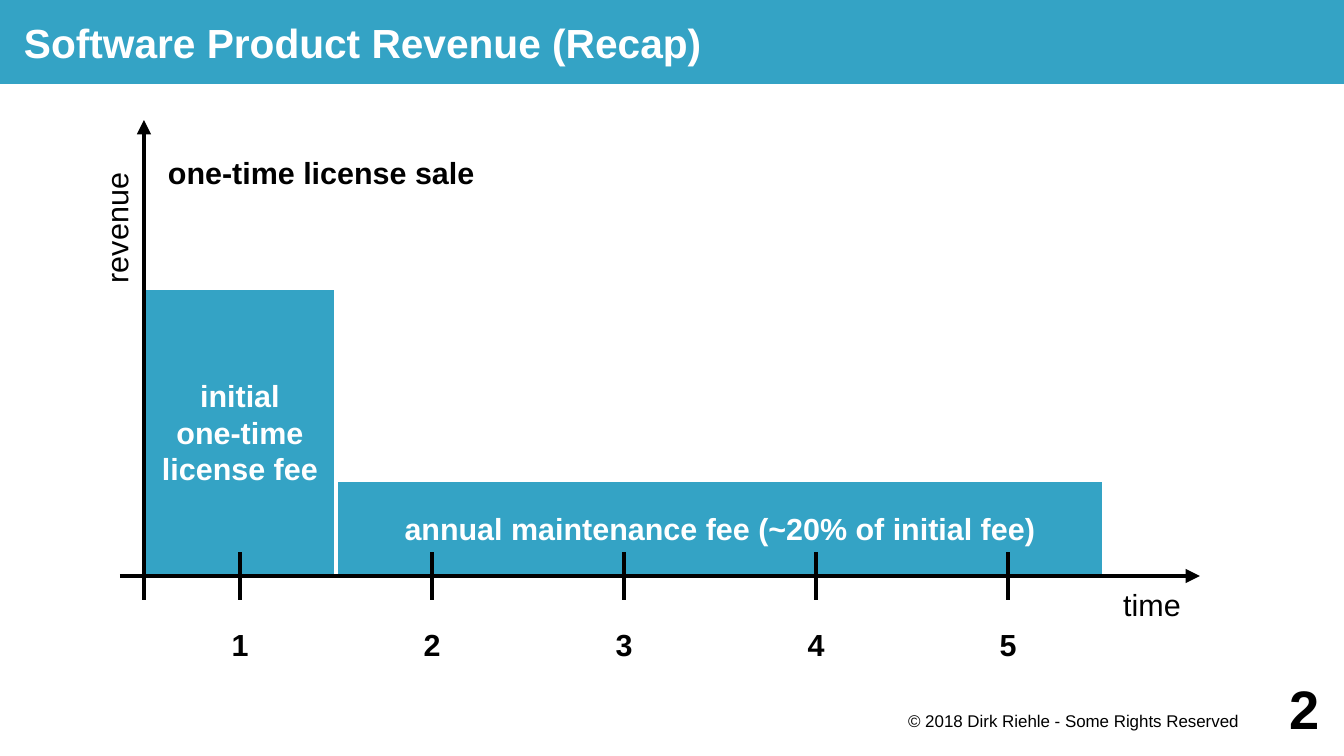
from lxml.etree import SubElement
from pptx import Presentation
from pptx.dml.color import RGBColor
from pptx.enum.shapes import MSO_CONNECTOR, MSO_SHAPE
from pptx.enum.text import MSO_ANCHOR, MSO_AUTO_SIZE, PP_ALIGN
from pptx.oxml.ns import qn
from pptx.util import Pt

# Content
TITLE = "Software Product Revenue (Recap)"
HEADING = "one-time license sale"
X_LABEL, Y_LABEL = "time", "revenue"
YEARS = ["1", "2", "3", "4", "5"]
# text, first year, number of years, height
BARS = [
    ("annual maintenance fee (~20% of initial fee)", 1, 4, 56.7),
    ("initial\none-time\nlicense fee", 0, 1, 170.1),
]
COPYRIGHT = "© 2018 Dirk Riehle - Some Rights Reserved"
PAGE = "2"

# Style
TEAL = RGBColor(0x34, 0xA3, 0xC5)
WHITE = RGBColor(0xFF, 0xFF, 0xFF)
BLACK = RGBColor(0x00, 0x00, 0x00)
FONT = "Arial"
LINE_W = 2.83
INSET = 5.67

# Geometry
WIDTH, HEIGHT = 793.7, 446.46
ORIGIN_X, ORIGIN_Y = 85.04, 340.16
YEAR_W = 113.39
TICK = 14.17
LABEL = 56.69
AXIS_TOP, AXIS_RIGHT = 70.87, 708.66


def set_text(s, text, size=18, bold=False, color=BLACK, align=PP_ALIGN.CENTER,
             anchor=MSO_ANCHOR.TOP, insets=(INSET,) * 4, wrap=True):
    tf = s.text_frame
    tf.text = text
    tf.auto_size = MSO_AUTO_SIZE.NONE
    tf.word_wrap = wrap
    tf.vertical_anchor = anchor
    tf.margin_left, tf.margin_top, tf.margin_right, tf.margin_bottom = map(Pt, insets)
    for p in tf.paragraphs:
        p.alignment = align
        for r in p.runs:
            r.font.name = FONT
            r.font.size = Pt(size)
            r.font.bold = bold
            r.font.color.rgb = color


def add_label(box, text, **style):
    s = slide.shapes.add_textbox(*map(Pt, box))
    set_text(s, text, **style)
    return s


def add_line(x1, y1, x2, y2, arrow=False):
    s = slide.shapes.add_connector(MSO_CONNECTOR.STRAIGHT, *map(Pt, (x1, y1, x2, y2)))
    s.line.width = Pt(LINE_W)
    s.line.color.rgb = BLACK
    if arrow:
        SubElement(s.line._get_or_add_ln(), qn("a:tailEnd"), type="triangle")
    SubElement(s._element.spPr, qn("a:effectLst"))


prs = Presentation()
prs.slide_width, prs.slide_height = Pt(WIDTH), Pt(HEIGHT)
slide = prs.slides.add_slide(prs.slide_layouts[5])

# Title band
title = slide.shapes.title
title.left, title.top, title.width, title.height = map(Pt, (0, 0, WIDTH, 49.6))
title.fill.solid()
title.fill.fore_color.rgb = TEAL
set_text(title, TITLE, size=24, bold=True, color=WHITE, align=PP_ALIGN.LEFT,
         anchor=MSO_ANCHOR.MIDDLE, insets=(TICK, 0, 0, 0))

# Revenue bars
for text, start, years, height in BARS:
    box = (ORIGIN_X + start * YEAR_W, ORIGIN_Y - height, years * YEAR_W, height)
    bar = slide.shapes.add_shape(MSO_SHAPE.RECTANGLE, *map(Pt, box))
    bar.shadow.inherit = False
    bar.fill.solid()
    bar.fill.fore_color.rgb = TEAL
    bar.line.color.rgb = WHITE
    bar.line.width = Pt(LINE_W)
    set_text(bar, text, bold=True, color=WHITE, anchor=MSO_ANCHOR.MIDDLE, wrap=False)

# Axes with their labels
add_line(ORIGIN_X, ORIGIN_Y + TICK, ORIGIN_X, AXIS_TOP, arrow=True)
add_line(ORIGIN_X - TICK, ORIGIN_Y, AXIS_RIGHT, ORIGIN_Y, arrow=True)
add_label((AXIS_RIGHT - LABEL, ORIGIN_Y, LABEL, LABEL), X_LABEL)
revenue = add_label((14.17, 113.39, 99.21, 42.52), Y_LABEL, anchor=MSO_ANCHOR.BOTTOM)
revenue.rotation = 270

# Year ticks, centred in each year
for i, year in enumerate(YEARS):
    x = ORIGIN_X + (i + 0.5) * YEAR_W
    add_label((x - LABEL / 2, ORIGIN_Y, LABEL, LABEL), year, bold=True,
              anchor=MSO_ANCHOR.BOTTOM)
    add_line(x, ORIGIN_Y - TICK, x, ORIGIN_Y + TICK)

# Chart heading
add_label((ORIGIN_X, 85.04, AXIS_RIGHT - ORIGIN_X, YEAR_W), HEADING, bold=True,
          align=PP_ALIGN.LEFT, insets=(TICK, INSET, INSET, INSET))

# Footer
add_label((510.24, 418.1, 226.77, 21.6), COPYRIGHT, size=10, align=PP_ALIGN.RIGHT,
          insets=(0, 1.42, INSET, 0))
add_label((722.83, 396.85, LABEL, 42.52), PAGE, size=32, bold=True,
          align=PP_ALIGN.RIGHT, anchor=MSO_ANCHOR.MIDDLE, insets=(0, 0, 0, 0))

prs.save("out.pptx")
